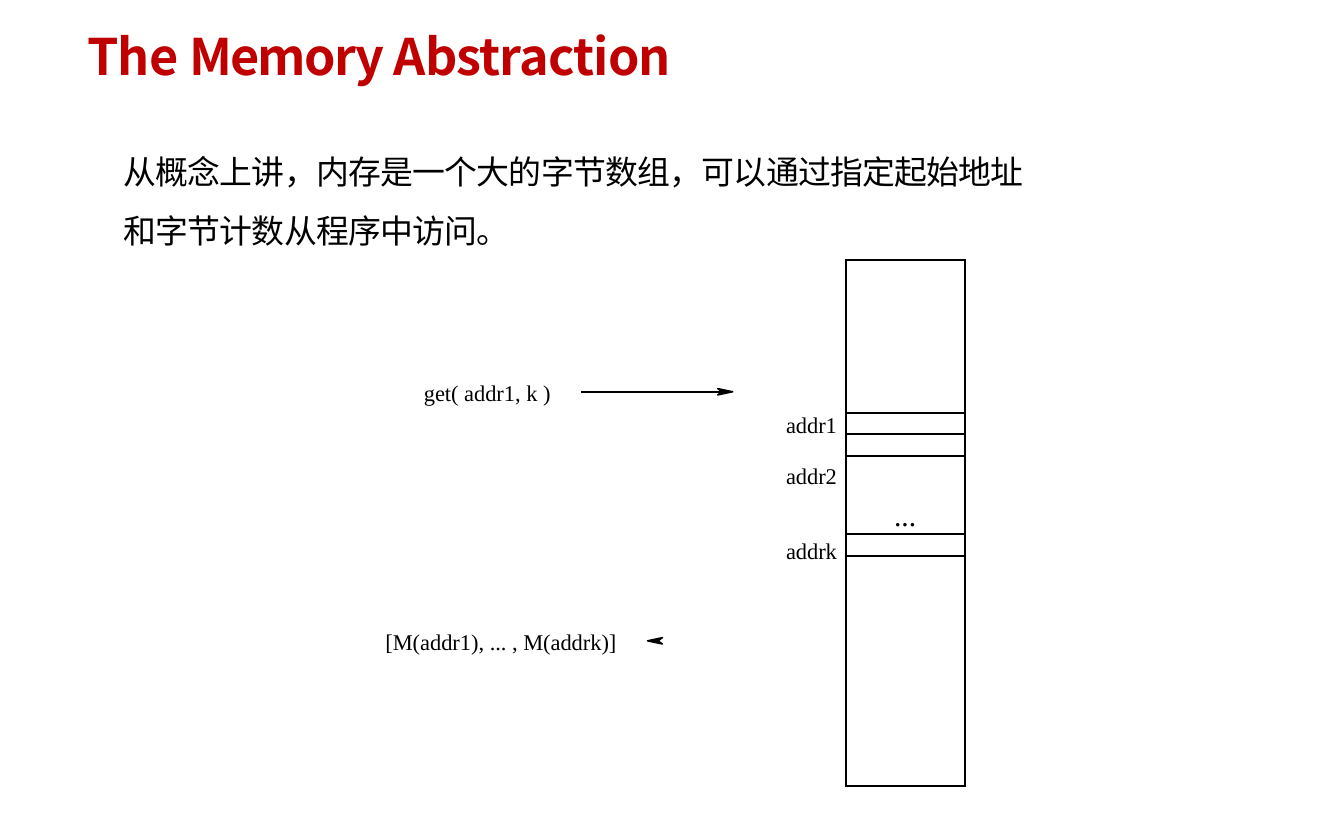
from pptx import Presentation, util as u
from pptx.dml.color import RGBColor
from pptx.enum import shapes, text
from pptx.oxml import parse_xml
from pptx.oxml.ns import nsdecls, qn
from lxml import etree

COLORS = {"title": "C00000", "ink": "000000"}
SANS, SERIF = "Noto Sans CJK SC", "Times New Roman"


def color(name):
    return RGBColor.from_string(COLORS[name])


def style(para, size, face=SERIF, name="ink", bold=False):
    font = para.font
    font.size, font.name, font.bold = u.Pt(size), face, bold
    font.color.rgb = color(name)


def track(run, space):
    """Set letter spacing in points and the East Asian font."""
    props = run.font._element
    props.set("spc", str(round(space * 100)))
    etree.SubElement(props, qn("a:ea")).set("typeface", SANS)


def frame(shape, wrap=True):
    body = shape.text_frame
    body.margin_left = body.margin_right = 0
    body.margin_top = body.margin_bottom = 0
    body.word_wrap = wrap
    body.auto_size = text.MSO_AUTO_SIZE.NONE
    return body


def place(box):
    return [u.Inches(v) for v in box]


def add_title(slide, box):
    title = slide.shapes.title
    title.left, title.top, title.width, title.height = place(box)
    body = frame(title)
    body.vertical_anchor = text.MSO_ANCHOR.MIDDLE
    para = body.paragraphs[0]
    para.alignment = text.PP_ALIGN.LEFT
    para.line_spacing = 0.9
    style(para, 17, SANS, "title", True)
    for word, space in (("The ", -0.3), ("Memory ", -0.6), ("Abstraction", -0.3)):
        run = para.add_run()
        run.text = word
        track(run, space)


def add_intro(slide, box):
    para = frame(slide.shapes.add_textbox(*place(box))).paragraphs[0]
    para.line_spacing = 1.5
    style(para, 11.1, SANS)
    run = para.add_run()
    run.text = "从概念上讲，内存是一个大的字节数组，可以通过指定起始地址和字节计数从程序中访问。"
    track(run, -0.3)


def add_label(slide, words, left, top, width):
    box = slide.shapes.add_textbox(*place((left, top, width, 0.12)))
    para = frame(box, False).paragraphs[0]
    para.text = words
    style(para, 7.6)


def border(cell):
    props = cell._tc.get_or_add_tcPr()
    for i, side in enumerate(("lnL", "lnR", "lnT", "lnB")):
        props.insert(i, parse_xml(
            f'<a:{side} {nsdecls("a")} w="{u.Pt(0.75)}"><a:solidFill>'
            f'<a:srgbClr val="{COLORS["ink"]}"/></a:solidFill></a:{side}>'))


def add_memory(slide, box):
    """Column of memory cells with address labels on its left."""
    left, top, width, height = box
    rows = [0.72, 0.1, 0.1, 0.37, 0.1]
    rows.append(height - sum(rows))
    table = slide.shapes.add_table(len(rows), 1, *place(box)).table
    table.first_row = table.horz_banding = False
    table.columns[0].width = u.Inches(width)
    for i, tall in enumerate(rows):
        table.rows[i].height = u.Inches(tall)
        cell = table.cell(i, 0)
        cell.margin_left = cell.margin_right = 0
        cell.margin_top = cell.margin_bottom = 0
        cell.fill.background()
        border(cell)
        para = cell.text_frame.paragraphs[0]
        if i == 3:
            para.text = "..."
            para.alignment = text.PP_ALIGN.CENTER
            para.line_spacing = u.Pt(26.2)
            style(para, 10)
        else:
            style(para, 1)
    for words, drop in (("addr1", 0.71), ("addr2", 0.95), ("addrk", 1.3)):
        add_label(slide, words, left - 0.28, top + drop, 0.25)


def add_head(slide, tip, y, way):
    """Barbed arrowhead; way is 1 for right and -1 for left."""
    points = [(tip - way * back, y + side)
              for back, side in ((0.07, -0.015), (0.05, 0), (0.07, 0.015))]
    form = slide.shapes.build_freeform(u.Inches(tip), u.Inches(y))
    form.add_line_segments([place(p) for p in points], close=True)
    head = form.convert_to_shape()
    head.shadow.inherit = False
    head.fill.solid()
    head.fill.fore_color.rgb = head.line.color.rgb = color("ink")
    head.line.width = u.Pt(0.52)


def add_calls(slide, box):
    """Request with its arrow above, reply with its arrowhead below."""
    left, top, width, height = box
    add_label(slide, "get( addr1, k )", left + 0.18, top, 0.61)
    y, start, tip = top + 0.06, left + 0.92, left + width
    line = slide.shapes.add_connector(
        shapes.MSO_CONNECTOR.STRAIGHT, *place((start, y, tip - 0.04, y)))
    line.line.color.rgb = color("ink")
    line.line.width = u.Pt(0.75)
    etree.SubElement(line._element.spPr, qn("a:effectLst"))
    add_head(slide, tip, y, 1)

    base = top + height - 0.12
    add_label(slide, "[M(addr1), ... , M(addrk)]", left, base, 1.11)
    add_head(slide, left + 1.23, base + 0.06, -1)


def main():
    deck = Presentation()
    deck.slide_width, deck.slide_height = u.Inches(6.31), u.Inches(3.94)
    slide = deck.slides.add_slide(deck.slide_layouts[5])
    add_title(slide, (0.41, 0.15, 3.45, 0.26))
    add_intro(slide, (0.58, 0.62, 4.3, 0.53))
    add_memory(slide, (3.97, 1.22, 0.56, 2.47))
    add_calls(slide, (1.81, 1.78, 1.63, 1.29))
    deck.save("out.pptx")


if __name__ == "__main__":
    main()
